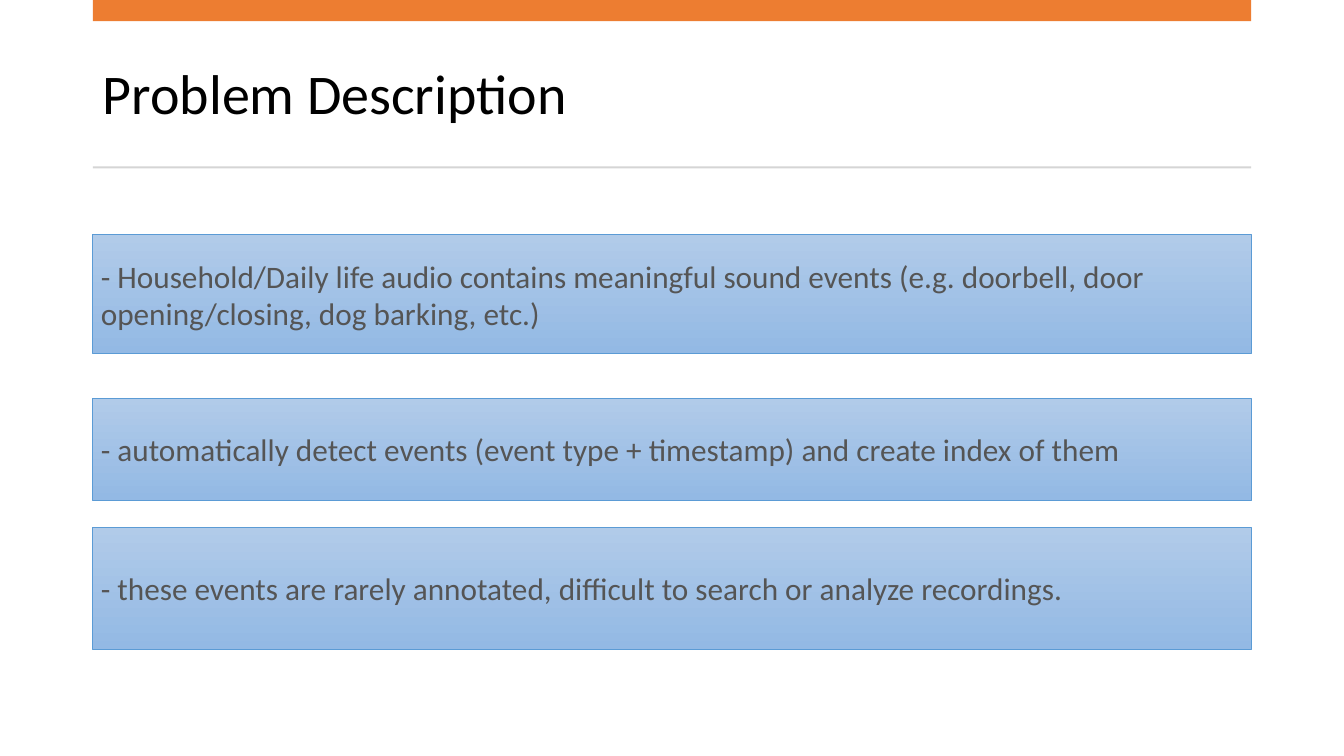
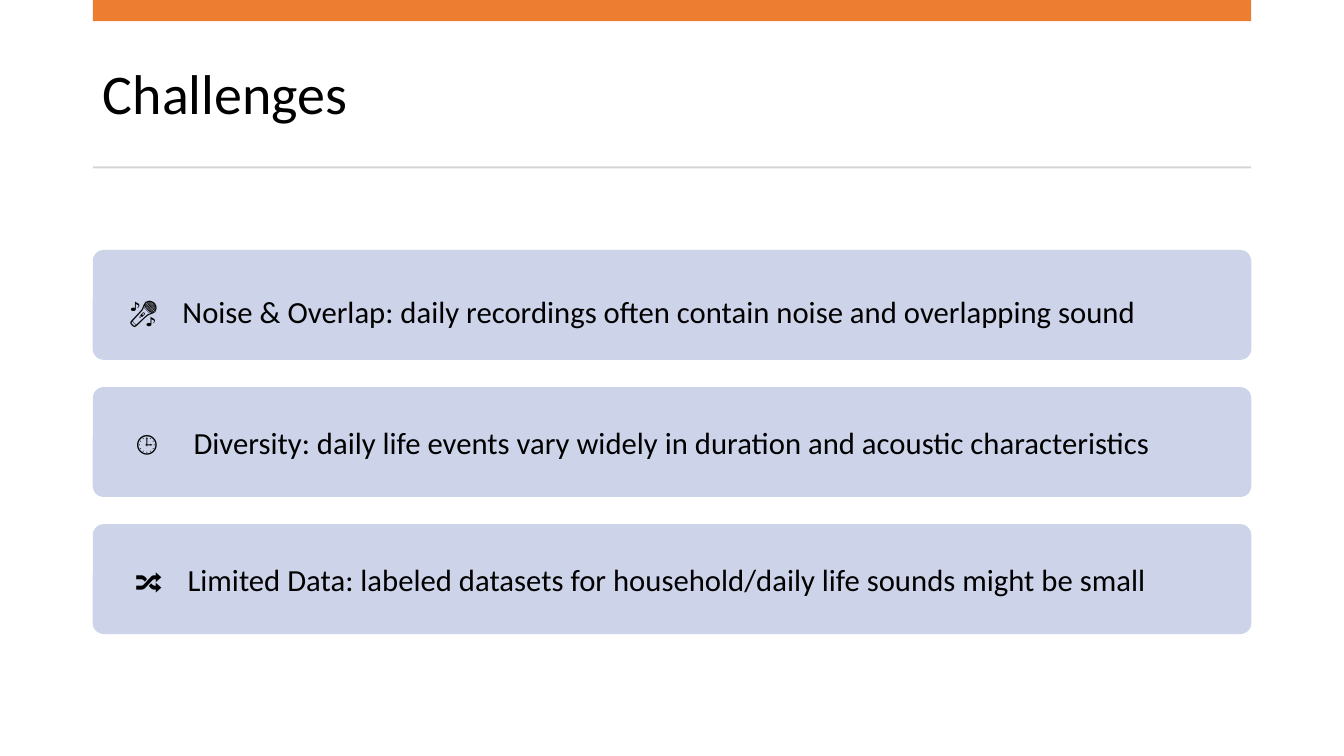
from dataclasses import dataclass

from pptx import Presentation
from pptx.dml.color import RGBColor
from pptx.enum.shapes import MSO_SHAPE
from pptx.enum.text import MSO_ANCHOR, MSO_AUTO_SIZE, PP_ALIGN
from pptx.shapes.autoshape import Shape
from pptx.slide import Slide
from pptx.text.text import TextFrame
from pptx.util import Inches, Pt

# Shared style
FONT = "Calibri"
BLACK, GREY_TEXT = "000000", "555555"
ACCENT, RULE = "ED7D31", "D5D5D5"
CARD_TOP, CARD_BOTTOM, CARD_LINE = "B1CBE9", "93B9E4", "5B9BD5"
ROW_FILL = "CDD4EA"

# Shared content column, in inches
LEFT, WIDTH = 0.92, 11.49
RIGHT = LEFT + WIDTH

# Even rows on the challenges slide, in inches
ROW_START, ROW_HEIGHT, ROW_STEP = 2.48, 1.09, 1.36


@dataclass(frozen=True)
class Statement:
    top: float
    height: float
    text: str


@dataclass(frozen=True)
class Challenge:
    icon: str
    icon_size: float
    icon_left: float
    text_left: float
    text: str
    drop: float = 0  # how far the text sits below the middle of its row


STATEMENTS = [
    Statement(2.33, 1.18, "- Household/Daily life audio contains meaningful sound events "
              "(e.g. doorbell, door opening/closing, dog barking, etc.)"),
    Statement(3.95, 1.01, "- automatically detect events (event type + timestamp) "
              "and create index of them"),
    Statement(5.23, 1.21, "- these events are rarely annotated, difficult to search "
              "or analyze recordings."),
]

CHALLENGES = [
    Challenge("🎤", 20, 1.28, 1.81, "Noise & Overlap: daily recordings often contain "
              "noise and overlapping sound", drop=0.06),
    Challenge("🕒", 18, 1.35, 1.92, "Diversity: daily life events vary widely in "
              "duration and acoustic characteristics"),
    Challenge("🔀", 21.9, 1.34, 1.86, "Limited Data: labeled datasets for "
              "household/daily life sounds might be small"),
]


def rgb(color: str) -> RGBColor:
    return RGBColor.from_string(color)


def write(frame: TextFrame, text: str, size: float, color: str, inset: float) -> None:
    """Fill a frame with one left-aligned, vertically centred paragraph."""
    frame.word_wrap = True
    frame.auto_size = MSO_AUTO_SIZE.NONE
    frame.vertical_anchor = MSO_ANCHOR.MIDDLE
    frame.margin_left = frame.margin_right = Inches(inset)
    frame.margin_top = frame.margin_bottom = Inches(inset)
    frame.text = text
    paragraph = frame.paragraphs[0]
    paragraph.alignment = PP_ALIGN.LEFT
    for run in paragraph.runs:
        run.font.name = FONT
        run.font.size = Pt(size)
        run.font.color.rgb = rgb(color)


def add_panel(slide: Slide, top: float, height: float, fill: str,
              kind: MSO_SHAPE = MSO_SHAPE.RECTANGLE) -> Shape:
    """Add a flat shape across the content column."""
    panel = slide.shapes.add_shape(kind, Inches(LEFT), Inches(top),
                                   Inches(WIDTH), Inches(height))
    panel.shadow.inherit = False
    panel.fill.solid()
    panel.fill.fore_color.rgb = rgb(fill)
    panel.line.fill.background()
    return panel


def add_label(slide: Slide, left: float, top: float, right: float,
              text: str, size: float) -> None:
    label = slide.shapes.add_textbox(Inches(left), Inches(top),
                                     Inches(right - left), Inches(ROW_HEIGHT))
    write(label.text_frame, text, size, BLACK, inset=0)


def add_titled_slide(deck: Presentation, heading: str) -> Slide:
    """Add a slide with the title, the top band and the rule below the title."""
    slide = deck.slides.add_slide(deck.slide_layouts[5])
    title = slide.shapes.title
    title.left, title.top = Inches(LEFT), Inches(0.37)
    title.width, title.height = Inches(WIDTH), Inches(1.18)
    write(title.text_frame, heading, 40, BLACK, inset=0.1)
    title.text_frame.paragraphs[0].line_spacing = 0.9
    add_panel(slide, 0, 0.21, ACCENT)
    add_panel(slide, 1.65, 0.02, RULE)
    return slide


def add_statement(slide: Slide, statement: Statement) -> None:
    card = add_panel(slide, statement.top, statement.height, CARD_TOP)
    card.fill.gradient()
    card.fill.gradient_angle = 270
    for stop, color in zip(card.fill.gradient_stops, (CARD_TOP, CARD_BOTTOM)):
        stop.color.rgb = rgb(color)
    card.line.color.rgb = rgb(CARD_LINE)
    card.line.width = Pt(0.5)
    write(card.text_frame, statement.text, 22.3, GREY_TEXT, inset=0.08)


def add_challenge(slide: Slide, top: float, challenge: Challenge) -> None:
    row = add_panel(slide, top, ROW_HEIGHT, ROW_FILL, MSO_SHAPE.ROUNDED_RECTANGLE)
    row.adjustments[0] = 0.1
    text_top = top + challenge.drop
    add_label(slide, challenge.icon_left, text_top, challenge.text_left,
              challenge.icon, challenge.icon_size)
    add_label(slide, challenge.text_left, text_top, RIGHT, challenge.text, 21.9)


def main() -> None:
    deck = Presentation()
    deck.slide_width, deck.slide_height = Inches(13.33), Inches(7.5)

    # Problem description
    problem = add_titled_slide(deck, "Problem Description")
    for statement in STATEMENTS:
        add_statement(problem, statement)

    # Challenges
    challenges = add_titled_slide(deck, "Challenges")
    for index, challenge in enumerate(CHALLENGES):
        add_challenge(challenges, ROW_START + index * ROW_STEP, challenge)

    deck.save("out.pptx")


if __name__ == "__main__":
    main()
